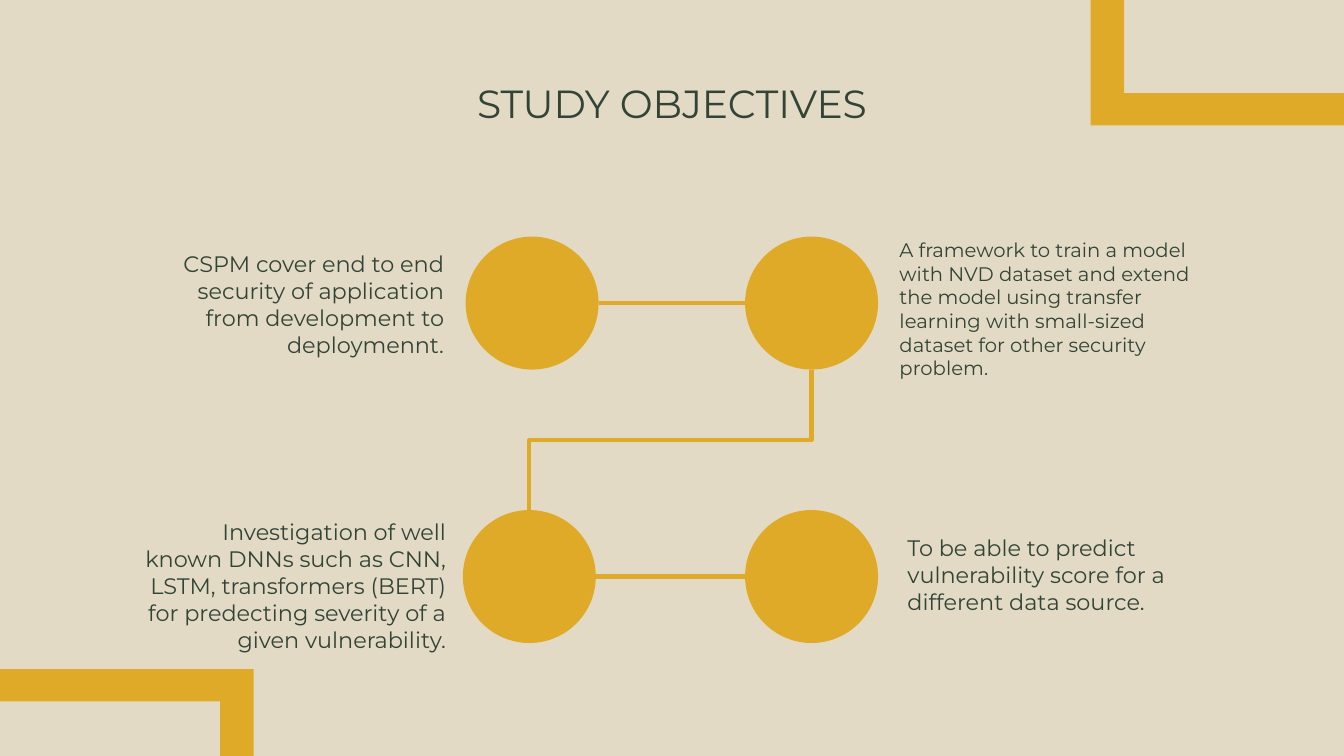
from dataclasses import dataclass

from lxml import etree
from pptx import Presentation
from pptx.dml.color import RGBColor
from pptx.enum import shapes, text
from pptx.oxml.ns import qn
from pptx.util import Pt

SAND, GOLD, GREEN = "E3DAC5", "DFAA28", "334436"
FONT = "Montserrat"
WIDTH, HEIGHT = 960, 540
DIAMETER = 95
INSET = 9.6
LINE_WIDTH = 3


@dataclass
class Objective:
    wording: str
    circle: tuple[float, float]
    box: tuple[float, float, float, float]
    size: int = 16
    align: text.PP_ALIGN = text.PP_ALIGN.LEFT

    @property
    def centre(self) -> tuple[float, float]:
        return self.circle[0] + DIAMETER / 2, self.circle[1] + DIAMETER / 2


OBJECTIVES = [
    Objective("CSPM cover end to end security of application from development to "
              "deploymennt.",
              (332.6, 169), (97.2, 169.2, 229.7, 112.3), align=text.PP_ALIGN.RIGHT),
    Objective("A framework to train a model with NVD dataset and extend the model using "
              "transfer learning with small-sized dataset for other security problem.",
              (532.2, 169), (632.9, 160.6, 229.7, 132.5), size=14),
    Objective("Investigation of well known DNNs such as CNN, LSTM, transformers (BERT) "
              "for predecting severity of a given vulnerability.",
              (330.6, 364.3), (91.4, 360.7, 236.9, 151.9), align=text.PP_ALIGN.RIGHT),
    Objective("To be able to predict vulnerability score for a different data source.",
              (532.2, 364.3), (638.6, 372.2, 229.7, 79.2)),
]


def colour(hex_code: str) -> RGBColor:
    return RGBColor.from_string(hex_code)


def fill_gold(shape) -> None:
    shape.shadow.inherit = False
    shape.fill.solid()
    shape.fill.fore_color.rgb = colour(GOLD)
    shape.line.fill.background()


def write(shape, wording: str, size: int, align: text.PP_ALIGN) -> None:
    frame = shape.text_frame
    frame.word_wrap = True
    frame.auto_size = text.MSO_AUTO_SIZE.NONE
    frame.vertical_anchor = text.MSO_ANCHOR.TOP
    frame.margin_left = frame.margin_right = Pt(INSET)
    frame.margin_top = frame.margin_bottom = Pt(INSET)
    frame.text = wording
    paragraph = frame.paragraphs[0]
    paragraph.alignment = align
    paragraph.line_spacing = 1.0
    paragraph.font.name = FONT
    paragraph.font.size = Pt(size)
    paragraph.font.color.rgb = colour(GREEN)


def place(shape, left: float, top: float, width: float, height: float) -> None:
    shape.left, shape.top = Pt(left), Pt(top)
    shape.width, shape.height = Pt(width), Pt(height)


def add_corner(slide, points: list[tuple[float, float]]) -> None:
    outline = [(Pt(x), Pt(y)) for x, y in points]
    builder = slide.shapes.build_freeform(*outline[0], scale=1.0)
    builder.add_line_segments(outline[1:], close=True)
    fill_gold(builder.convert_to_shape())


def corner_points(width: float, height: float) -> list[tuple[float, float]]:
    """Bracket cut by the top right corner of the slide."""
    left, bar_x, bar_y = WIDTH - width, 24, 23
    return [(left, 0), (left + bar_x, 0), (left + bar_x, height - bar_y),
            (WIDTH, height - bar_y), (WIDTH, height), (left, height)]


def add_link(slide, kind: shapes.MSO_CONNECTOR, start: tuple[float, float],
             end: tuple[float, float]):
    link = slide.shapes.add_connector(kind, *(Pt(value) for value in start + end))
    link.line.color.rgb = colour(GOLD)
    link.line.width = Pt(LINE_WIDTH)
    etree.SubElement(link._element.spPr, qn("a:effectLst"))
    return link


def add_step_link(slide, start: tuple[float, float], end: tuple[float, float]) -> None:
    """Elbow that leaves downwards: laid out sideways, then turned by 90 degrees."""
    middle_x, middle_y = (start[0] + end[0]) / 2, (start[1] + end[1]) / 2
    half_run, half_drop = (start[0] - end[0]) / 2, (end[1] - start[1]) / 2
    link = add_link(slide, shapes.MSO_CONNECTOR.ELBOW,
                    (middle_x - half_drop, middle_y - half_run),
                    (middle_x + half_drop, middle_y + half_run))
    link._element.spPr.find(qn("a:xfrm")).set("rot", str(90 * 60000))


def add_row_link(slide, left: Objective, right: Objective) -> None:
    y = left.centre[1]
    add_link(slide, shapes.MSO_CONNECTOR.STRAIGHT,
             (left.circle[0] + DIAMETER, y), (right.circle[0], y))


def add_objective(slide, objective: Objective) -> None:
    circle = slide.shapes.add_shape(shapes.MSO_SHAPE.OVAL, *(
        Pt(value) for value in (*objective.circle, DIAMETER, DIAMETER)))
    fill_gold(circle)
    box = slide.shapes.add_textbox(*(Pt(value) for value in objective.box))
    write(box, objective.wording, objective.size, objective.align)


def main() -> None:
    deck = Presentation()
    deck.slide_width, deck.slide_height = Pt(WIDTH), Pt(HEIGHT)
    slide = deck.slides.add_slide(deck.slide_layouts[5])
    slide.background.fill.solid()
    slide.background.fill.fore_color.rgb = colour(SAND)

    # Corner brackets: the lower one is the upper one turned by 180 degrees
    add_corner(slide, corner_points(181, 89.5))
    add_corner(slide, [(WIDTH - x, HEIGHT - y) for x, y in corner_points(181.2, 62)])

    # Title
    place(slide.shapes.title, 75.6, 46.8, 808.6, 60.5)
    write(slide.shapes.title, "STUDY OBJECTIVES", 28, text.PP_ALIGN.CENTER)

    # Objectives
    for objective in OBJECTIVES:
        add_objective(slide, objective)

    # Path through the objectives
    first, second, third, fourth = OBJECTIVES
    add_row_link(slide, first, second)
    add_step_link(slide, (second.centre[0], second.circle[1] + DIAMETER),
                  (third.centre[0], third.circle[1]))
    add_row_link(slide, third, fourth)

    deck.save("out.pptx")


if __name__ == "__main__":
    main()
